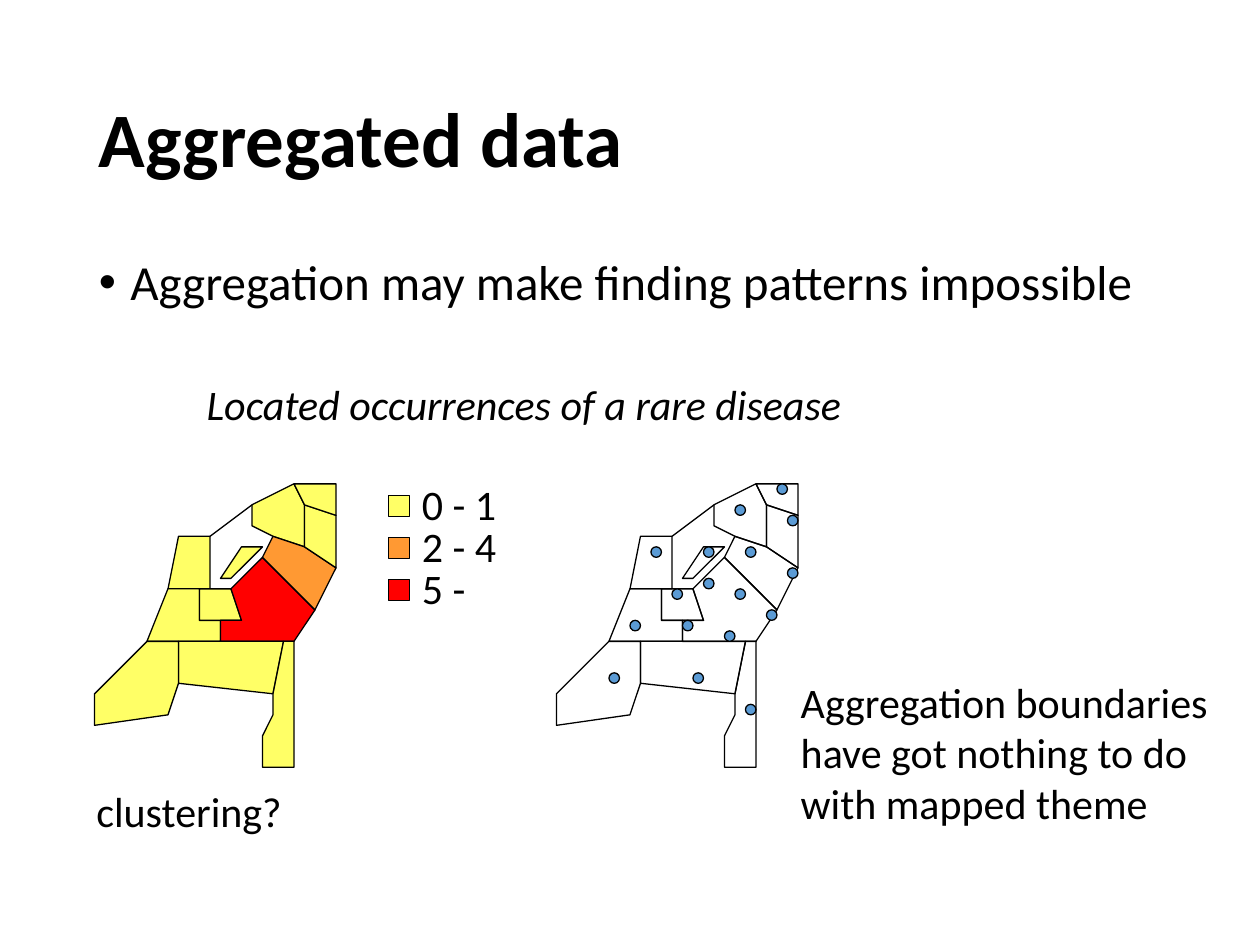
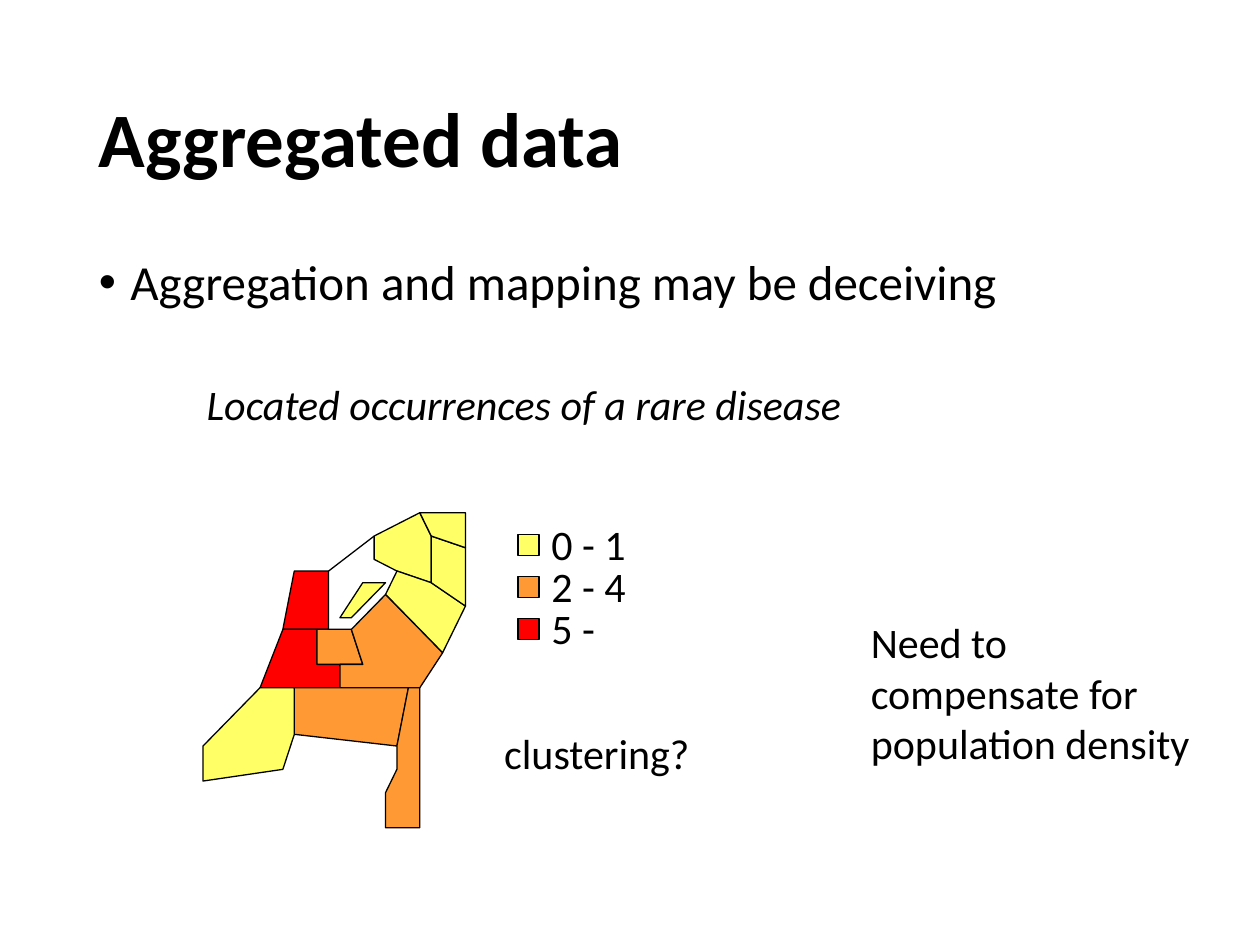
from lxml import etree
from pptx import Presentation
from pptx.dml.color import RGBColor
from pptx.enum.shapes import MSO_CONNECTOR, MSO_SHAPE
from pptx.enum.text import MSO_ANCHOR, MSO_AUTO_SIZE
from pptx.oxml.ns import qn
from pptx.util import Pt

RECT, OVAL = MSO_SHAPE.RECTANGLE, MSO_SHAPE.OVAL
STRAIGHT = MSO_CONNECTOR.STRAIGHT
MIDDLE = MSO_ANCHOR.MIDDLE
GROW = MSO_AUTO_SIZE.SHAPE_TO_FIT_TEXT

PX = 6350
FONT = "Calibri"
BLACK, YELLOW, ORANGE, RED, BLUE = "000000", "FFFF66", "FF9933", "FF0000", "5B9BD5"
CLASSES = [("0 - 1", YELLOW), ("2 - 4", ORANGE), ("5 -", RED)]

MAP_COLS, MAP_ROWS = 23, 27
REGIONS = {
    "north": [(17, 5), (20, 6), (20, 2), (19, 0), (15, 2), (15, 4)],
    "northwest": [(8, 5), (11, 5), (11, 10), (7, 10)],
    "west": [(7, 10), (10, 10), (10, 13), (12, 13), (12, 15), (5, 15)],
    "middle": [(10, 10), (13, 10), (14, 13), (10, 13)],
    "centre": [(12, 13), (14, 13), (13, 10), (16, 7), (21, 12), (19, 15), (12, 15)],
    "south": [(8, 15), (18, 15), (17, 20), (8, 19)],
    "southeast": [(18, 15), (19, 15), (19, 27), (16, 27), (16, 24), (17, 22), (17, 20)],
    "southwest": [(5, 15), (0, 20), (0, 23), (7, 22), (8, 19), (8, 15)],
    "east": [(16, 7), (17, 5), (20, 6), (23, 8), (21, 12)],
    "northeast": [(20, 6), (23, 8), (23, 3), (20, 2)],
    "far north": [(19, 0), (23, 0), (23, 3), (20, 2)],
    "island": [(12, 9), (13, 9), (16, 6), (14, 6)],
}
DIKE = [(11, 5), (15, 2)]
CASES = [(14, 9), (12, 13), (17, 2), (16, 14), (11, 10), (20, 12), (14, 6), (18, 6), (7, 13),
         (22, 8), (18, 21), (5, 18), (22, 3), (13, 18), (9, 6), (21, 0), (17, 10)]


def px(*values):
    return [round(v * PX) for v in values]


def rgb(value):
    return RGBColor.from_string(value)


def style(sp, fill):
    sp.shadow.inherit = False
    if fill:
        sp.fill.solid()
        sp.fill.fore_color.rgb = rgb(fill)
    else:
        sp.fill.background()
    sp.line.color.rgb = rgb(BLACK)
    sp.line.width = Pt(0.75)


def add_text(s, text, box, size=24, bold=False, italic=False, wrap=True):
    sp = s.shapes.add_textbox(*px(*box))
    tf = sp.text_frame
    tf.word_wrap = wrap
    tf.auto_size = GROW
    p = tf.paragraphs[0]
    for i, line in enumerate(text.split("\n")):
        if i:
            p.add_line_break()
        r = p.add_run()
        r.text = line
        r.font.name, r.font.size = FONT, Pt(size)
        r.font.bold, r.font.italic = bold, italic
        r.font.color.rgb = rgb(BLACK)
    return tf


def add_title(s, text):
    tf = add_text(s, text, (99, 58, 1241, 209), 44, bold=True)
    tf.auto_size = MSO_AUTO_SIZE.NONE
    tf.vertical_anchor = MIDDLE
    tf.paragraphs[0].line_spacing = 0.9


def add_bullet(s, text):
    tf = add_text(s, text, (99, 288, 1241, 196), 28)
    tf.auto_size = MSO_AUTO_SIZE.NONE
    p = tf.paragraphs[0]
    p.line_spacing = 0.9
    p.space_before = Pt(10)
    pPr = p._p.get_or_add_pPr()
    pPr.set("marL", str(36 * PX))
    pPr.set("indent", str(-36 * PX))
    etree.SubElement(pPr, qn("a:buFont")).set("typeface", "Arial")
    etree.SubElement(pPr, qn("a:buChar")).set("char", "•")


def add_map(s, left, top, width, height, fills=None, base=None, cases=()):
    def place(point):
        col, row = point
        return px(left + col * width / MAP_COLS, top + row * height / MAP_ROWS)

    fills = fills or {}
    shapes = s.shapes.add_group_shape().shapes
    for name, outline in REGIONS.items():
        points = [place(point) for point in outline]
        builder = shapes.build_freeform(*points[0], scale=1.0)
        builder.add_line_segments(points[1:], close=True)
        style(builder.convert_to_shape(), fills.get(name, base))
    line = shapes.add_connector(STRAIGHT, *place(DIKE[0]), *place(DIKE[1]))
    line.line.color.rgb = rgb(BLACK)
    line.line.width = Pt(0.75)
    etree.SubElement(line._element.spPr, qn("a:effectLst"))
    for case in cases:
        style(shapes.add_shape(OVAL, *place(case), *px(12, 12)), BLUE)


def add_legend(s, left, top):
    for i, (label, colour) in enumerate(CLASSES):
        y = top + 48 * i
        style(s.shapes.add_shape(RECT, *px(left, y + 26, 24, 24)), colour)
        add_text(s, label, (left + 24, y, 79 if label == "5 -" else 115, 72), wrap=False)


def add_base(prs, bullet):
    s = prs.slides.add_slide(prs.slide_layouts[6])
    add_title(s, "Aggregated data")
    add_bullet(s, bullet)
    add_text(s, "Located occurrences of a rare disease", (222, 426, 763, 72),
             italic=True, wrap=False)
    return s


def add_question(s, left, top):
    add_text(s, "clustering?", (left, top, 243, 72), wrap=False)


def main():
    prs = Presentation()
    prs.slide_width, prs.slide_height = px(1440, 1080)

    s = add_base(prs, "Aggregation may make finding patterns impossible")
    add_map(s, 108, 553, 276, 324, {"centre": RED, "east": ORANGE}, YELLOW)
    add_legend(s, 444, 540)
    add_map(s, 636, 553, 276, 324, cases=CASES)
    add_text(s, "Aggregation boundaries\nhave got nothing to do with mapped theme",
             (901, 766, 504, 189))
    add_question(s, 96, 891)

    s = add_base(prs, "Aggregation and mapping may be deceiving")
    fills = dict.fromkeys(["middle", "centre", "south", "southeast"], ORANGE)
    fills.update(dict.fromkeys(["northwest", "west"], RED))
    add_map(s, 232, 586, 300, 360, fills, YELLOW)
    add_legend(s, 592, 585)
    add_question(s, 562, 824)
    add_text(s, "Need to compensate for population density", (981, 698, 397, 189))

    prs.save("out.pptx")


if __name__ == "__main__":
    main()
